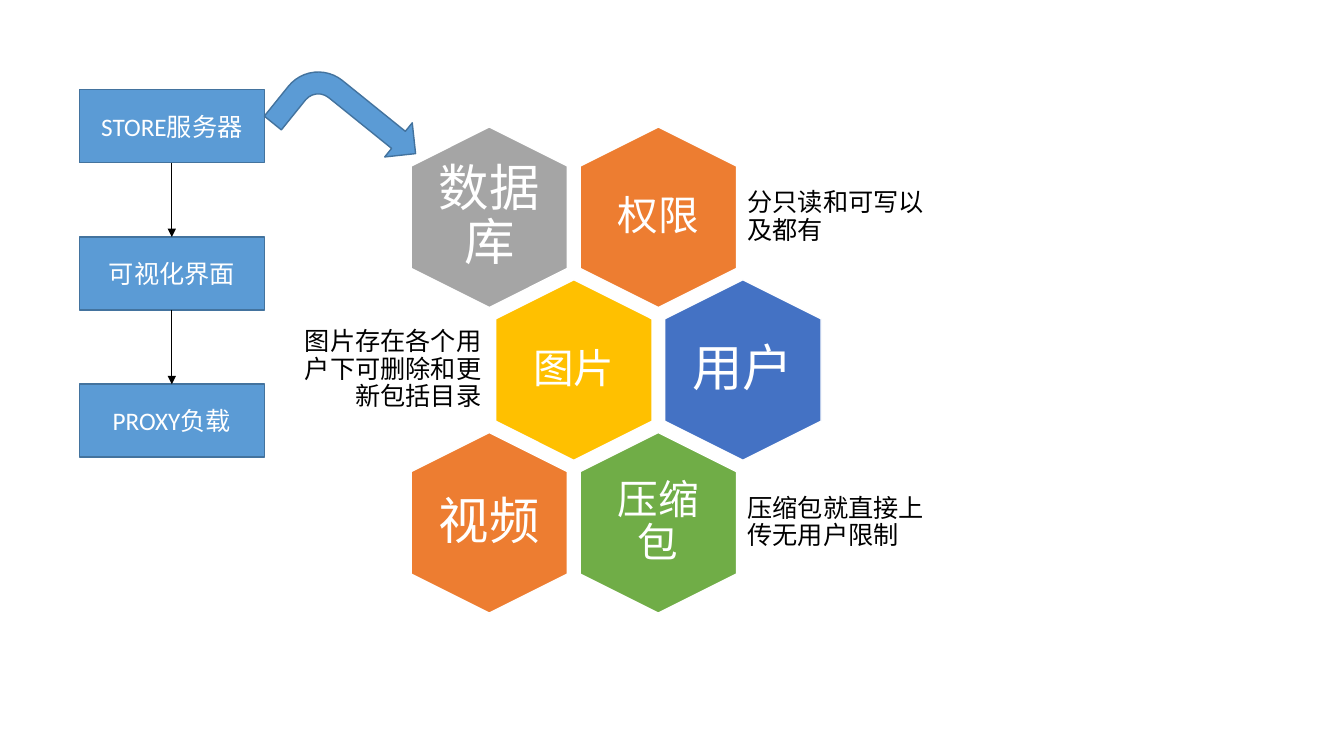
from lxml import etree
from pptx import Presentation
from pptx.dml.color import RGBColor
from pptx.enum.shapes import MSO_CONNECTOR, MSO_SHAPE
from pptx.enum.text import MSO_ANCHOR, PP_ALIGN
from pptx.oxml.ns import qn
from pptx.util import Cm, Pt

COLORS = {
    "white": "FFFFFF", "black": "000000", "blue": "5B9BD5", "outline": "43739E",
    "orange": "ED7D31", "gray": "A5A5A5", "gold": "FFC000",
    "indigo": "4472C4", "green": "70AD47",
}
FONT = "Calibri"

# row, column, label, size, inset, colour, side note, side of the note
HEXAGONS = [
    (0, 0, "数据库", 36, 0, "gray", None, None),
    (0, 1, "权限", 29, 0.3, "orange", "分只读和可写以及都有", "right"),
    (1, 0, "图片", 29, 0.3, "gold", "图片存在各个用户下可删除和更新包括目录", "left"),
    (1, 1, "用户", 36, 0, "indigo", None, None),
    (2, 0, "视频", 36, 0, "orange", None, None),
    (2, 1, "压缩包", 29, 0.3, "green", "压缩包就直接上传无用户限制", "right"),
]


def rgb(name):
    """Return the named colour."""
    return RGBColor.from_string(COLORS[name])


def write(shape, text, size, color, align, inset=None, spacing=None):
    """Put one vertically centred, wrapped paragraph into a shape."""
    frame = shape.text_frame
    frame.word_wrap = True
    frame.vertical_anchor = MSO_ANCHOR.MIDDLE
    if inset is not None:
        frame.margin_left = frame.margin_right = Cm(inset)
        frame.margin_top = frame.margin_bottom = Cm(inset)
    paragraph = frame.paragraphs[0]
    paragraph.alignment = align
    paragraph.line_spacing = spacing
    run = paragraph.add_run()
    run.text = text
    run.font.name, run.font.size = FONT, Pt(size)
    run.font.color.rgb = rgb(color)


def add_filled(slide, kind, left, top, width, height, fill, line):
    """Add a preset shape with a fill and a 1 pt outline."""
    shape = slide.shapes.add_shape(kind, Cm(left), Cm(top), Cm(width), Cm(height))
    shape.shadow.inherit = False
    shape.fill.solid()
    shape.fill.fore_color.rgb = rgb(fill)
    shape.line.color.rgb = rgb(line)
    shape.line.width = Pt(1)
    return shape


def add_label(slide, left, top, width, height, *text_format):
    """Add a text box with tight line spacing."""
    box = slide.shapes.add_textbox(Cm(left), Cm(top), Cm(width), Cm(height))
    write(box, *text_format, spacing=0.9)


def add_arrow(slide, upper, lower):
    """Link the bottom of one box to the top of the next."""
    arrow = slide.shapes.add_connector(MSO_CONNECTOR.STRAIGHT, 0, 0, 0, 0)
    arrow.begin_connect(upper, 2)
    arrow.end_connect(lower, 0)
    arrow.line.color.rgb = rgb("black")
    arrow.line.width = Pt(0.5)
    etree.SubElement(arrow.line._get_or_add_ln(), qn("a:tailEnd"), type="triangle")
    etree.SubElement(arrow._element.spPr, qn("a:effectLst"))


def add_flow(slide, left, top, width, height, steps):
    """Stack the process boxes evenly in the given area and link them."""
    box_height = 1.84
    pitch = (height - box_height) / (len(steps) - 1)
    boxes = []
    for i, step in enumerate(steps):
        box = add_filled(slide, MSO_SHAPE.FLOWCHART_PROCESS, left, top + i * pitch,
                         width, box_height, "blue", "outline")
        write(box, step, 18, "white", PP_ALIGN.CENTER)
        boxes.append(box)
    for upper, lower in zip(boxes, boxes[1:]):
        add_arrow(slide, upper, lower)


def add_honeycomb(slide, left, top, width, height):
    """Fill the area with three staggered rows of two hexagons and their notes."""
    long_side, short_side = 4.55, 3.94
    pitch_x = (width - short_side) / 1.5
    pitch_y = (height - long_side) / 2
    label_width, label_height = 2.72, 3.12
    note_height = 2.72
    for row, col, label, size, inset, color, note, side in HEXAGONS:
        x = left + short_side / 2 + (col + row % 2 / 2) * pitch_x
        y = top + long_side / 2 + row * pitch_y
        hexagon = add_filled(slide, MSO_SHAPE.HEXAGON, x - long_side / 2,
                             y - short_side / 2, long_side, short_side, color, "white")
        hexagon.adjustments[0] = 0.25
        hexagon.rotation = 90
        add_label(slide, x - label_width / 2, y - label_height / 2, label_width,
                  label_height, label, size, "white", PP_ALIGN.CENTER, inset)
        if side == "right":
            note_left, note_width, align = x + 2.07, 5.05, PP_ALIGN.LEFT
        else:
            note_left, note_width, align = x - 2.15 - 4.9, 4.9, PP_ALIGN.RIGHT
        if note:
            add_label(slide, note_left, y - note_height / 2, note_width, note_height,
                      note, 18, "black", align, 0.18)


def add_bent_arrow(slide, left, top, width, height):
    """Add the tilted arrow that leads from the server to the honeycomb."""
    arrow = add_filled(slide, MSO_SHAPE.BENT_ARROW, left, top, width, height,
                       "blue", "outline")
    arrow.rotation = 38.9


def main():
    """Build and save the slide."""
    prs = Presentation()
    prs.slide_width, prs.slide_height = Cm(33.87), Cm(19.05)
    slide = prs.slides.add_slide(prs.slide_layouts[6])
    add_honeycomb(slide, 10.36, 3.2, 10.33, 12.25)
    add_flow(slide, 2, 2.26, 4.66, 9.26, ["STORE服务器", "可视化界面", "PROXY负载"])
    add_bent_arrow(slide, 6.96, 2.08, 3.56, 2.21)
    prs.save("out.pptx")


main()
